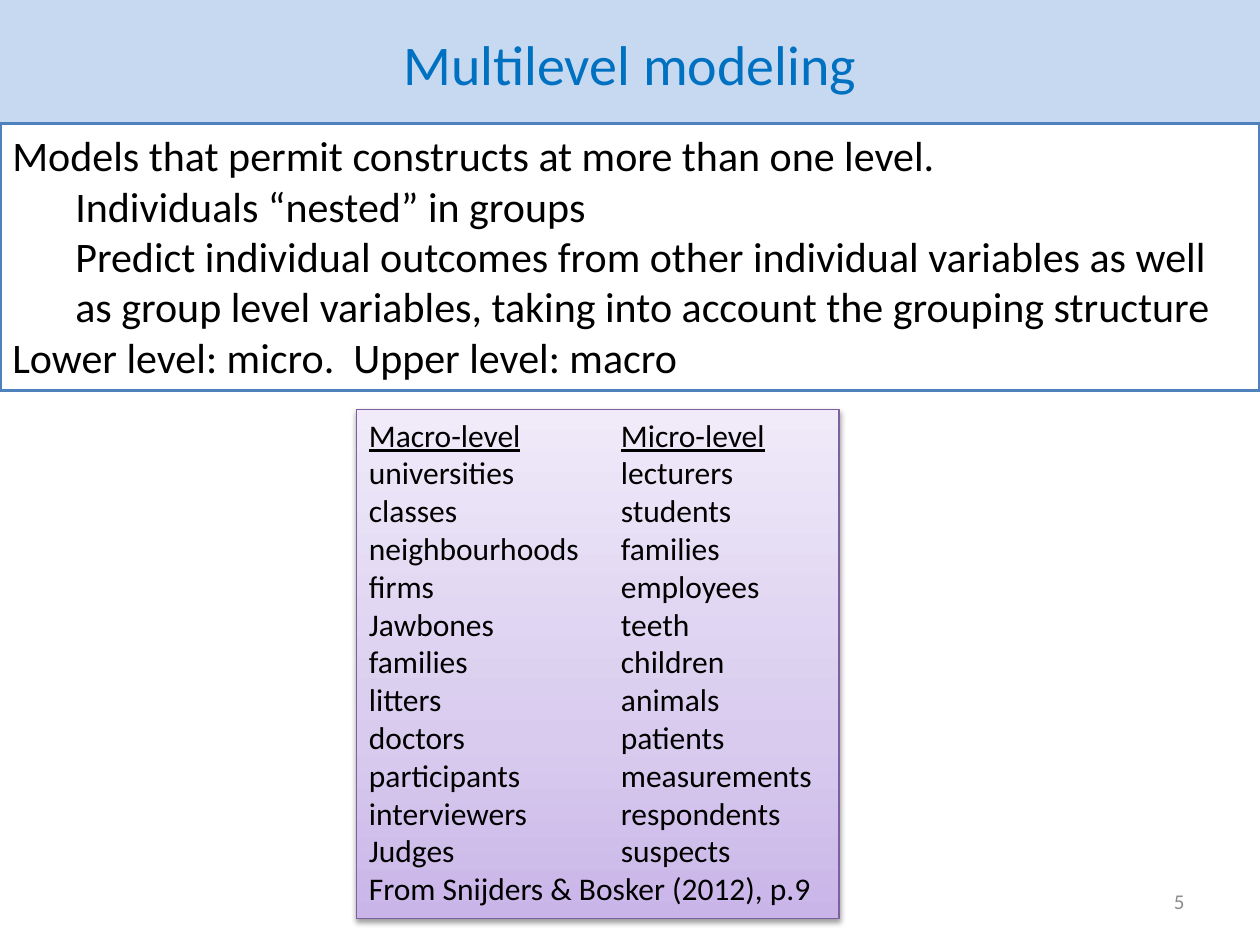
from dataclasses import dataclass
from typing import Optional

from lxml import etree
from pptx import Presentation
from pptx.dml.color import RGBColor
from pptx.enum.shapes import MSO_SHAPE
from pptx.enum.text import MSO_ANCHOR, MSO_AUTO_SIZE, PP_ALIGN
from pptx.oxml.ns import qn
from pptx.util import Inches, Pt

RECT = MSO_SHAPE.RECTANGLE
TOP, MIDDLE = MSO_ANCHOR.TOP, MSO_ANCHOR.MIDDLE
LEFT, CENTER, RIGHT = PP_ALIGN.LEFT, PP_ALIGN.CENTER, PP_ALIGN.RIGHT
GROW, FIXED = MSO_AUTO_SIZE.SHAPE_TO_FIT_TEXT, MSO_AUTO_SIZE.NONE

BLACK = RGBColor(0x00, 0x00, 0x00)
WHITE = RGBColor(0xFF, 0xFF, 0xFF)
PALE_BLUE = RGBColor(0xC6, 0xD9, 0xF1)
TITLE_BLUE = RGBColor(0x00, 0x70, 0xC0)
BORDER_BLUE = RGBColor(0x4F, 0x81, 0xBD)
BORDER_PURPLE = RGBColor(0x7D, 0x60, 0xA0)
GRAY = RGBColor(0x8C, 0x8C, 0x8C)
PURPLE_STOPS = (
    (0, RGBColor(0xC9, 0xB5, 0xE8)),
    (35, RGBColor(0xD8, 0xCB, 0xEE)),
    (100, RGBColor(0xF0, 0xEA, 0xF9)),
)

FONT = "Calibri"
COLUMNS, ROWS = 100, 75
MICRO_TAB = Inches(2)
LEVEL_INDENT = Inches(0.5)


@dataclass(frozen=True)
class Panel:
    """A text box; place is left, top, width, height in grid columns and rows."""
    place: tuple[float, float, float, float]
    size: int
    color: RGBColor = BLACK
    fill: Optional[RGBColor] = None
    border: Optional[RGBColor] = None
    border_width: float = 0
    align: PP_ALIGN = LEFT
    anchor: MSO_ANCHOR = TOP
    grows: bool = False


@dataclass(frozen=True)
class Line:
    text: str
    level: int = 0


TITLE = Panel((0, 0, 100, 10), 32, TITLE_BLUE, fill=PALE_BLUE,
              align=CENTER, anchor=MIDDLE)
SUMMARY = Panel((0, 9.8, 100, 21.2), 24, fill=WHITE, border=BORDER_BLUE,
                border_width=2, grows=True)
EXAMPLES = Panel((28.3, 32.5, 38.3, 40.4), 18, border=BORDER_PURPLE,
                 border_width=0.75, grows=True)
PAGE_NUMBER = Panel((71.7, 69.5, 23.3, 4), 12, GRAY, align=RIGHT, anchor=MIDDLE)

SUMMARY_LINES = [
    Line("Models that permit constructs at more than one level."),
    Line("Individuals “nested” in groups", 1),
    Line("Predict individual outcomes from other individual variables as well "
         "as group level variables, taking into account the grouping structure", 1),
    Line("Lower level: micro.  Upper level: macro"),
]
HEADINGS = ("Macro-level", "Micro-level")
LEVEL_PAIRS = [
    ("universities", "lecturers"),
    ("classes", "students"),
    ("neighbourhoods", "families"),
    ("firms", "employees"),
    ("Jawbones", "teeth"),
    ("families", "children"),
    ("litters", "animals"),
    ("doctors", "patients"),
    ("participants", "measurements"),
    ("interviewers", "respondents"),
    ("Judges", "suspects"),
]
CITATION = "From Snijders & Bosker (2012), p.9"


def add_panel(prs, slide, panel: Panel, lines: list[Line]):
    left, top, width, height = panel.place
    column, row = prs.slide_width / COLUMNS, prs.slide_height / ROWS
    s = slide.shapes.add_shape(RECT, int(left * column), int(top * row),
                               int(width * column), int(height * row))
    s.shadow.inherit = False
    if panel.fill is None:
        s.fill.background()
    else:
        s.fill.solid()
        s.fill.fore_color.rgb = panel.fill
    if panel.border is None:
        s.line.fill.background()
    else:
        s.line.color.rgb = panel.border
        s.line.width = Pt(panel.border_width)

    tf = s.text_frame
    tf.word_wrap = True
    tf.auto_size = GROW if panel.grows else FIXED
    tf.vertical_anchor = panel.anchor
    tf.text = "\n".join(line.text for line in lines)
    for p, line in zip(tf.paragraphs, lines):
        p.alignment = panel.align
        if line.level:
            p.level = line.level
            pPr = p._p.get_or_add_pPr()
            pPr.set("marL", str(line.level * LEVEL_INDENT))
            pPr.set("indent", "0")
        for r in p.runs:
            style_run(r, panel)
    return s


def style_run(r, panel: Panel) -> None:
    r.font.name = FONT
    r.font.size = Pt(panel.size)
    r.font.color.rgb = panel.color


def add_color(parent, color: RGBColor):
    return etree.SubElement(parent, qn("a:srgbClr"), val=str(color))


def shade_upwards(s, stops: tuple) -> None:
    """Fill with a linear gradient whose first stop lies at the bottom."""
    s.fill.gradient()
    s.fill.gradient_angle = 90
    stop_list = s._element.spPr.find(qn("a:gradFill")).find(qn("a:gsLst"))
    for stop in list(stop_list):
        stop_list.remove(stop)
    for percent, color in stops:
        stop = etree.SubElement(stop_list, qn("a:gs"), pos=str(percent * 1000))
        add_color(stop, color)


def drop_shadow(s, blur: float, distance: float, opacity: int) -> None:
    effects = s._element.spPr.find(qn("a:effectLst"))
    shadow = etree.SubElement(
        effects, qn("a:outerShdw"), blurRad=str(Pt(blur)), dist=str(Pt(distance)),
        dir=str(90 * 60000), rotWithShape="0")
    etree.SubElement(add_color(shadow, BLACK), qn("a:alpha"), val=str(opacity * 1000))


def add_examples(prs, slide) -> None:
    pairs = [Line("\t".join(pair)) for pair in [HEADINGS, *LEVEL_PAIRS]]
    s = add_panel(prs, slide, EXAMPLES, [*pairs, Line(CITATION)])
    shade_upwards(s, PURPLE_STOPS)
    drop_shadow(s, blur=3.1, distance=1.6, opacity=38)
    paragraphs = s.text_frame.paragraphs
    for p in paragraphs[:len(pairs)]:
        tabs = etree.SubElement(p._p.get_or_add_pPr(), qn("a:tabLst"))
        etree.SubElement(tabs, qn("a:tab"), pos=str(MICRO_TAB), algn="l")

    heading = paragraphs[0]
    heading.clear()
    for text in (HEADINGS[0], "\t", HEADINGS[1]):
        r = heading.add_run()
        r.text = text
        style_run(r, EXAMPLES)
        r.font.underline = text in HEADINGS


def main() -> None:
    prs = Presentation()
    prs.slide_width, prs.slide_height = Inches(10), Inches(7.5)
    slide = prs.slides.add_slide(prs.slide_layouts[6])
    add_panel(prs, slide, TITLE, [Line("Multilevel modeling")])
    add_panel(prs, slide, SUMMARY, SUMMARY_LINES)
    add_examples(prs, slide)
    add_panel(prs, slide, PAGE_NUMBER, [Line("5")])
    prs.save("out.pptx")


if __name__ == "__main__":
    main()
